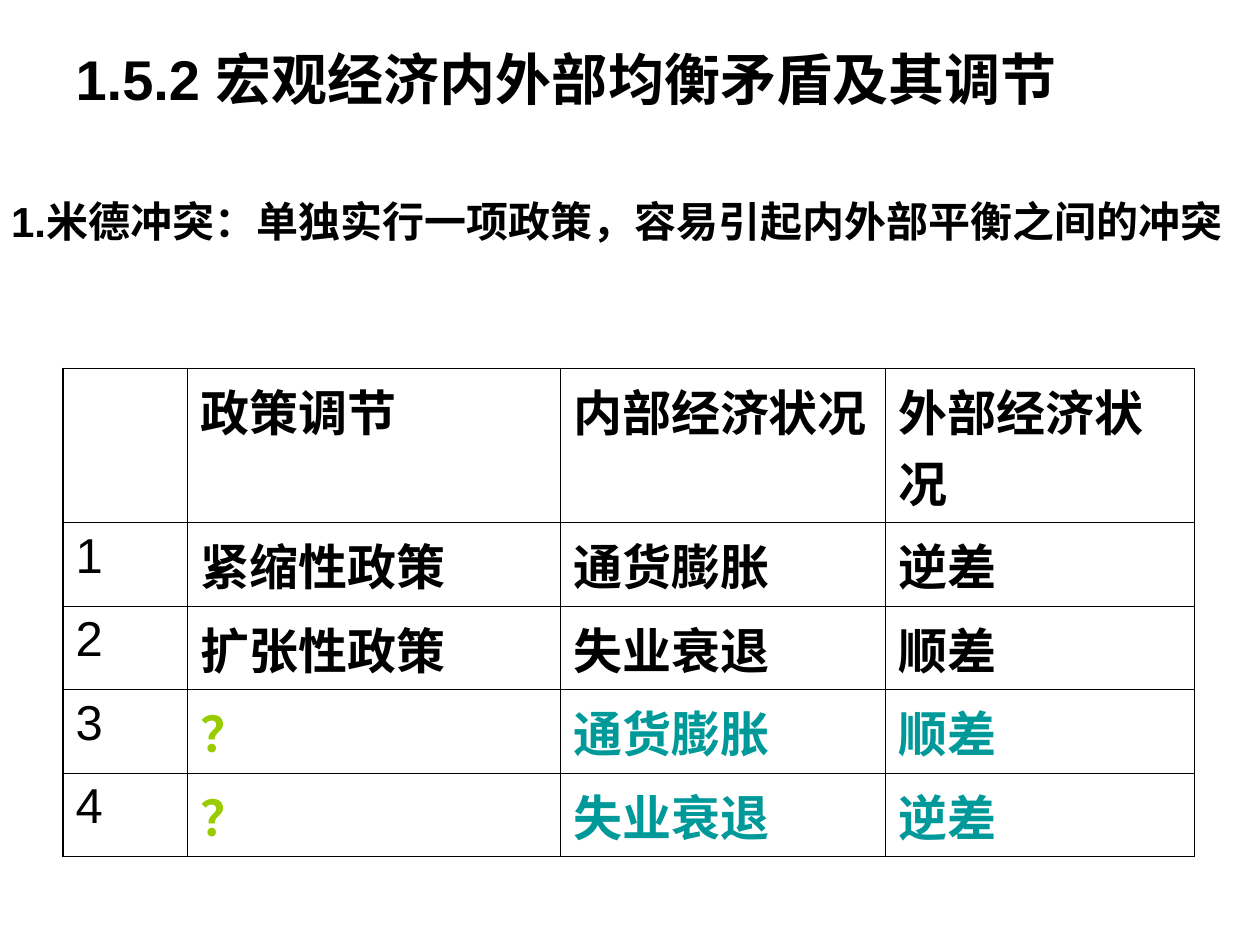
import pptx
import pptx.util
import pptx.dml.color
import pptx.enum.text
import pptx.oxml
import pptx.oxml.ns

W, H = 10, 7.5
FONT = "Arial"
BLACK, GREEN, TEAL = "000000", "99CC00", "009999"
THIN, THICK = 0.45, 1.08
COLS = [0.99, 2.96, 2.58, 2.45]
ROWS = [1.06, 0.65, 0.64, 0.64, 0.64]
HEADER = ["", "政策调节", "内部经济状况", "外部经济状况"]
POLICIES = [
    ["1", "紧缩性政策", "通货膨胀", "逆差"],
    ["2", "扩张性政策", "失业衰退", "顺差"],
    ["3", "？", "通货膨胀", "顺差"],
    ["4", "？", "失业衰退", "逆差"],
]


def rgb(color):
    """Turn a hex string into a colour."""
    return pptx.dml.color.RGBColor.from_string(color)


def box(x, y, w, h):
    """Turn shares of the slide into left, top, width and height."""
    return [pptx.util.Inches(v) for v in (x * W, y * H, w * W, h * H)]


def add_run(p, text, size, color=BLACK, bold=True):
    """Add one formatted run to a paragraph."""
    r = p.add_run()
    r.text = text
    r.font.name = FONT
    r.font.size = pptx.util.Pt(size)
    r.font.bold = bold
    r.font.color.rgb = rgb(color)


def add_title(s, text):
    """Place and fill the title placeholder."""
    sp = s.shapes.title
    sp.left, sp.top, sp.width, sp.height = box(0.05, 0.04, 0.9, 1 / 6)
    tf = sp.text_frame
    tf.auto_size = pptx.enum.text.MSO_AUTO_SIZE.NONE
    tf.vertical_anchor = pptx.enum.text.MSO_ANCHOR.TOP
    p = tf.paragraphs[0]
    p.alignment = pptx.enum.text.PP_ALIGN.LEFT
    add_run(p, text, 32)


def add_statement(s, text):
    """Add the one-line statement under the title."""
    sp = s.shapes.add_textbox(*box(-0.001, 0.2, 0.99, 1 / 15))
    tf = sp.text_frame
    tf.word_wrap = False
    tf.auto_size = pptx.enum.text.MSO_AUTO_SIZE.SHAPE_TO_FIT_TEXT
    p = tf.paragraphs[0]
    p.alignment = pptx.enum.text.PP_ALIGN.LEFT
    add_run(p, text, 24)


def set_borders(cell, outer):
    """Draw the four borders of a cell, thicker on its outer sides."""
    tcPr = cell._tc.get_or_add_tcPr()
    for side in "LRTB":
        width = pptx.util.Pt(THICK if side in outer else THIN)
        tcPr.append(pptx.oxml.parse_xml(
            f'<a:ln{side} {pptx.oxml.ns.nsdecls("a")} w="{width}"><a:solidFill>'
            f'<a:srgbClr val="{BLACK}"/></a:solidFill></a:ln{side}>'))


def cell_color(row, col):
    """Give the text colour: open cases stand out from row 3 on."""
    if row < 3 or col == 0:
        return BLACK
    return GREEN if col == 1 else TEAL


def add_policy_table(s, data):
    """Add the table of policies and economic conditions."""
    area = box(0.05, 0.39, sum(COLS) / W, sum(ROWS) / H)
    table = s.shapes.add_table(len(ROWS), len(COLS), *area).table
    table.first_row = table.horz_banding = False
    for column, width in zip(table.columns, COLS):
        column.width = pptx.util.Inches(width)
    for row, height in zip(table.rows, ROWS):
        row.height = pptx.util.Inches(height)
    last_row, last_col = len(ROWS) - 1, len(COLS) - 1
    for i, texts in enumerate(data):
        for j, text in enumerate(texts):
            cell = table.cell(i, j)
            edges = {"L": j == 0, "R": j == last_col, "T": i == 0, "B": i == last_row}
            set_borders(cell, [side for side, outer in edges.items() if outer])
            cell.fill.background()
            p = cell.text_frame.paragraphs[0]
            p.space_before = pptx.util.Pt(7)
            if text:
                add_run(p, text, 28, cell_color(i, j), j > 0)


def main():
    """Build and save the slide."""
    prs = pptx.Presentation()
    prs.slide_width, prs.slide_height = pptx.util.Inches(W), pptx.util.Inches(H)
    s = prs.slides.add_slide(prs.slide_layouts[5])
    s.background.fill.solid()
    s.background.fill.fore_color.rgb = rgb("FFFFFF")
    add_title(s, "1.5.2 宏观经济内外部均衡矛盾及其调节")
    add_policy_table(s, [HEADER] + POLICIES)
    add_statement(s, "1.米德冲突：单独实行一项政策，容易引起内外部平衡之间的冲突")
    prs.save("out.pptx")


if __name__ == "__main__":
    main()
